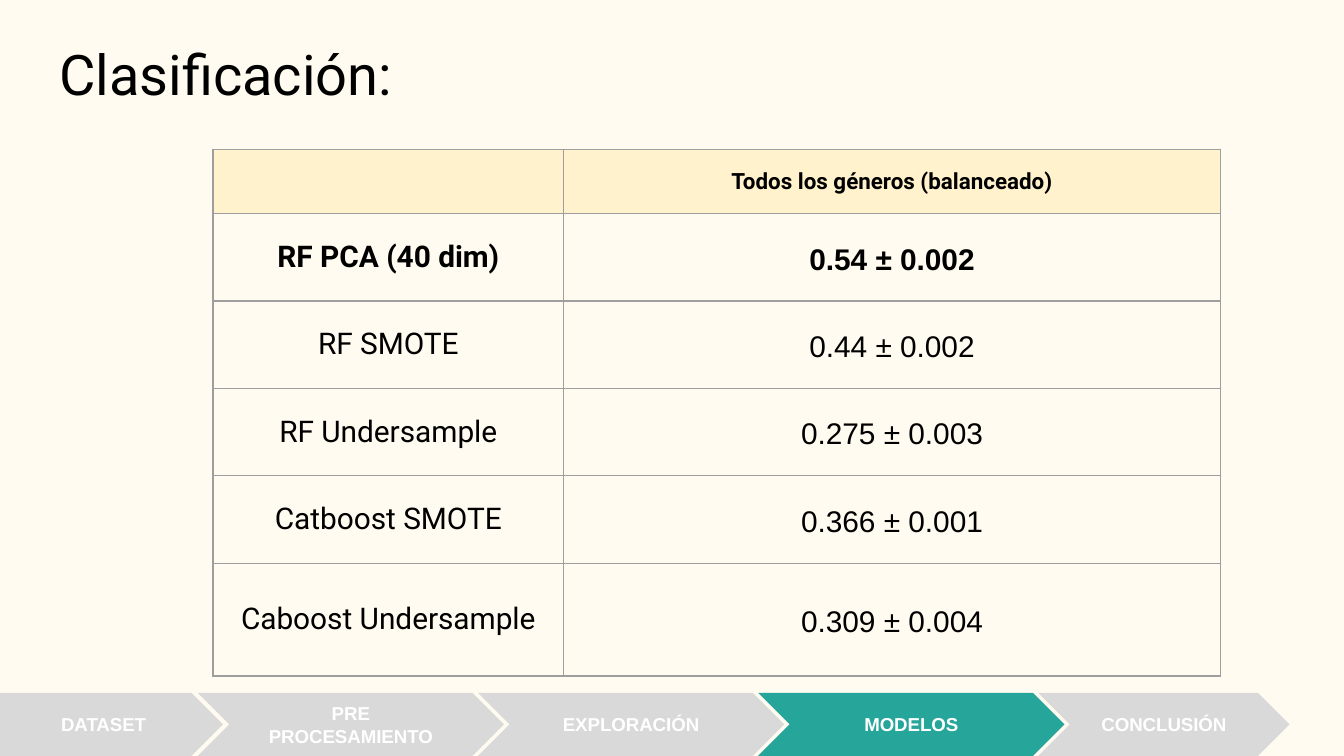
from dataclasses import dataclass

from lxml import etree
from pptx import Presentation
from pptx.dml.color import RGBColor
from pptx.enum.shapes import MSO_SHAPE
from pptx.enum.text import MSO_ANCHOR, MSO_AUTO_SIZE, PP_ALIGN
from pptx.oxml.ns import qn
from pptx.util import Emu, Pt

PENTAGON, CHEVRON = MSO_SHAPE.PENTAGON, MSO_SHAPE.CHEVRON
TOP, MIDDLE = MSO_ANCHOR.TOP, MSO_ANCHOR.MIDDLE
LEFT, CENTER = PP_ALIGN.LEFT, PP_ALIGN.CENTER
NO_AUTO_SIZE = MSO_AUTO_SIZE.NONE
EMU_PER_PX = 4572
SLIDE_WIDTH, SLIDE_HEIGHT = 2000, 1125
INSET = 20
TITLE_ONLY_LAYOUT = 5


@dataclass(frozen=True)
class Theme:
    """Colours, fonts and type sizes of the slide."""
    background: str = "FFFBF0"
    text: str = "000000"
    header: str = "FFF2CC"
    border: str = "9E9E9E"
    step: str = "D9D9D9"
    active: str = "26A69A"
    step_text: str = "FFFFFF"
    main_font: str = "Roboto"
    plain_font: str = "Arial"
    title_size: int = 30
    header_size: int = 12
    body_size: int = 16
    step_size: int = 10
    border_width: float = 0.75


THEME = Theme()
TITLE = "Clasificación:"
COLUMNS = [522, 977]
ROW_HEIGHTS = [96, 130, 130, 130, 130, 168]
ROWS = [
    ("", "Todos los géneros (balanceado)"),
    ("RF PCA (40 dim)", "0.54 ± 0.002"),
    ("RF SMOTE", "0.44 ± 0.002"),
    ("RF Undersample", "0.275 ± 0.003"),
    ("Catboost SMOTE", "0.366 ± 0.001"),
    ("Caboost Undersample", "0.309 ± 0.004"),
]
ACTIVE_STEP = "MODELOS"
LAST_STEP = "CONCLUSIÓN"
CHEVRON_STEPS = ["PRE\nPROCESAMIENTO", "EXPLORACIÓN", ACTIVE_STEP, LAST_STEP]
STEP_HEIGHT = 94
STEP_TOP = SLIDE_HEIGHT - STEP_HEIGHT
CHEVRON_LEFT, CHEVRON_PITCH = 294, 417


def px(length):
    """Turn whole pixels into EMU."""
    return Emu(length * EMU_PER_PX)


def set_values(target, values):
    """Set the attributes of an object from a dict."""
    for name, value in values.items():
        setattr(target, name, value)


def set_fill(fill, color):
    """Fill with one solid colour."""
    fill.solid()
    fill.fore_color.rgb = RGBColor.from_string(color)


def insets():
    """Return equal margins for all four sides."""
    sides = ("left", "top", "right", "bottom")
    return {f"margin_{side}": px(INSET) for side in sides}


def write_text(frame, text, font, size, color, bold=False, align=CENTER, spacing=1.0):
    """Write formatted paragraphs, one for each line of text."""
    for index, line in enumerate(text.split("\n")):
        paragraph = frame.add_paragraph() if index else frame.paragraphs[0]
        set_values(paragraph, {"alignment": align, "line_spacing": spacing})
        run = paragraph.add_run()
        run.text = line
        set_values(run.font, {"name": font, "size": Pt(size), "bold": bold})
        run.font.color.rgb = RGBColor.from_string(color)


def add_title(slide):
    """Place and format the title placeholder."""
    title = slide.shapes.title
    set_values(title, {"left": px(68), "top": px(39), "width": px(1864), "height": px(134)})
    set_values(title.text_frame, {
        **insets(), "vertical_anchor": TOP, "word_wrap": True, "auto_size": NO_AUTO_SIZE,
    })
    write_text(title.text_frame, TITLE, THEME.main_font, THEME.title_size,
               THEME.text, align=LEFT)


def set_borders(cell):
    """Draw the four borders of a table cell."""
    properties = cell._tc.get_or_add_tcPr()
    for index, side in enumerate(("lnL", "lnR", "lnT", "lnB")):
        line = etree.Element(qn(f"a:{side}"), w=str(Pt(THEME.border_width)))
        solid = etree.SubElement(line, qn("a:solidFill"))
        etree.SubElement(solid, qn("a:srgbClr"), val=THEME.border)
        properties.insert(index, line)


def format_cell(cell, text, row, column):
    """Fill a table cell and write its text by its row and column."""
    is_header = row == 0
    is_value = column == 1 and not is_header
    set_values(cell, {**insets(), "vertical_anchor": MIDDLE})
    if is_header:
        set_fill(cell.fill, THEME.header)
    else:
        cell.fill.background()
    set_borders(cell)
    write_text(cell.text_frame, text,
               font=THEME.plain_font if is_value else THEME.main_font,
               size=THEME.header_size if is_header else THEME.body_size,
               color=THEME.text, bold=row <= 1, spacing=1.15 if is_value else 1.0)


def add_results_table(slide):
    """Add the table of model scores."""
    frame = slide.shapes.add_table(
        len(ROWS), len(COLUMNS), px(317), px(222), px(sum(COLUMNS)), px(sum(ROW_HEIGHTS)))
    table = frame.table
    set_values(table, {"first_row": False, "horz_banding": False})
    for column, width in zip(table.columns, COLUMNS):
        column.width = px(width)
    for row, height in zip(table.rows, ROW_HEIGHTS):
        row.height = px(height)
    for row, texts in enumerate(ROWS):
        for column, text in enumerate(texts):
            format_cell(table.cell(row, column), text, row, column)


def add_step(slide, kind, text, left, width):
    """Add one arrow of the progress bar."""
    shape = slide.shapes.add_shape(kind, px(left), px(STEP_TOP), px(width), px(STEP_HEIGHT))
    shape.shadow.inherit = False
    shape.adjustments[0] = 0.5
    set_fill(shape.fill, THEME.active if text == ACTIVE_STEP else THEME.step)
    shape.line.fill.background()
    set_values(shape.text_frame, {**insets(), "vertical_anchor": MIDDLE, "word_wrap": True})
    write_text(shape.text_frame, text, THEME.plain_font, THEME.step_size,
               THEME.step_text, bold=True)


def add_progress_bar(slide):
    """Add the row of arrows along the bottom edge."""
    add_step(slide, PENTAGON, "DATASET", 0, 332)
    for index, text in enumerate(CHEVRON_STEPS):
        width = 374 if text == LAST_STEP else 456
        add_step(slide, CHEVRON, text, CHEVRON_LEFT + index * CHEVRON_PITCH, width)


def main():
    """Build and save the slide."""
    presentation = Presentation()
    set_values(presentation, {
        "slide_width": px(SLIDE_WIDTH), "slide_height": px(SLIDE_HEIGHT),
    })
    slide = presentation.slides.add_slide(presentation.slide_layouts[TITLE_ONLY_LAYOUT])
    set_fill(slide.background.fill, THEME.background)
    add_title(slide)
    add_results_table(slide)
    add_progress_bar(slide)
    presentation.save("out.pptx")


if __name__ == "__main__":
    main()
